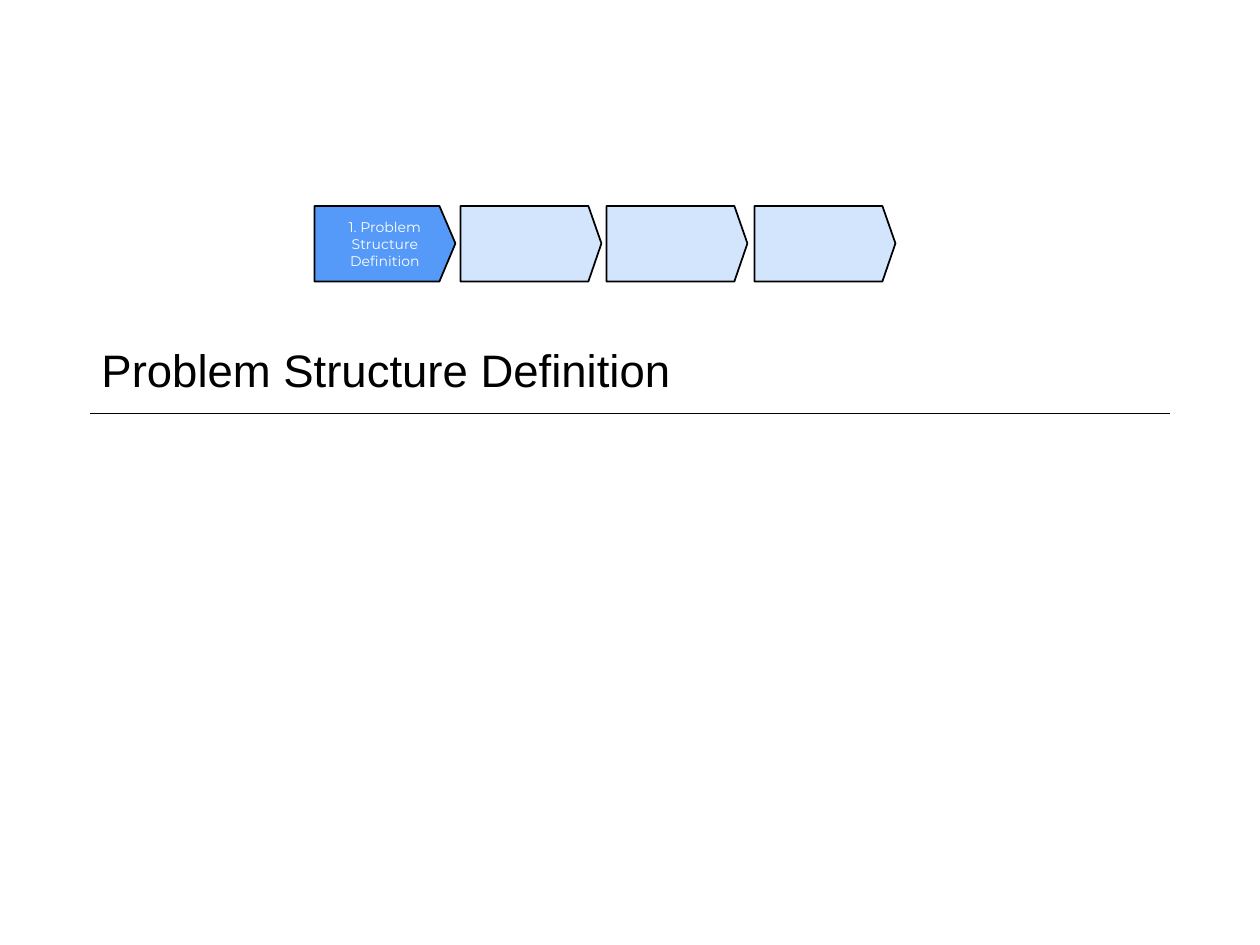
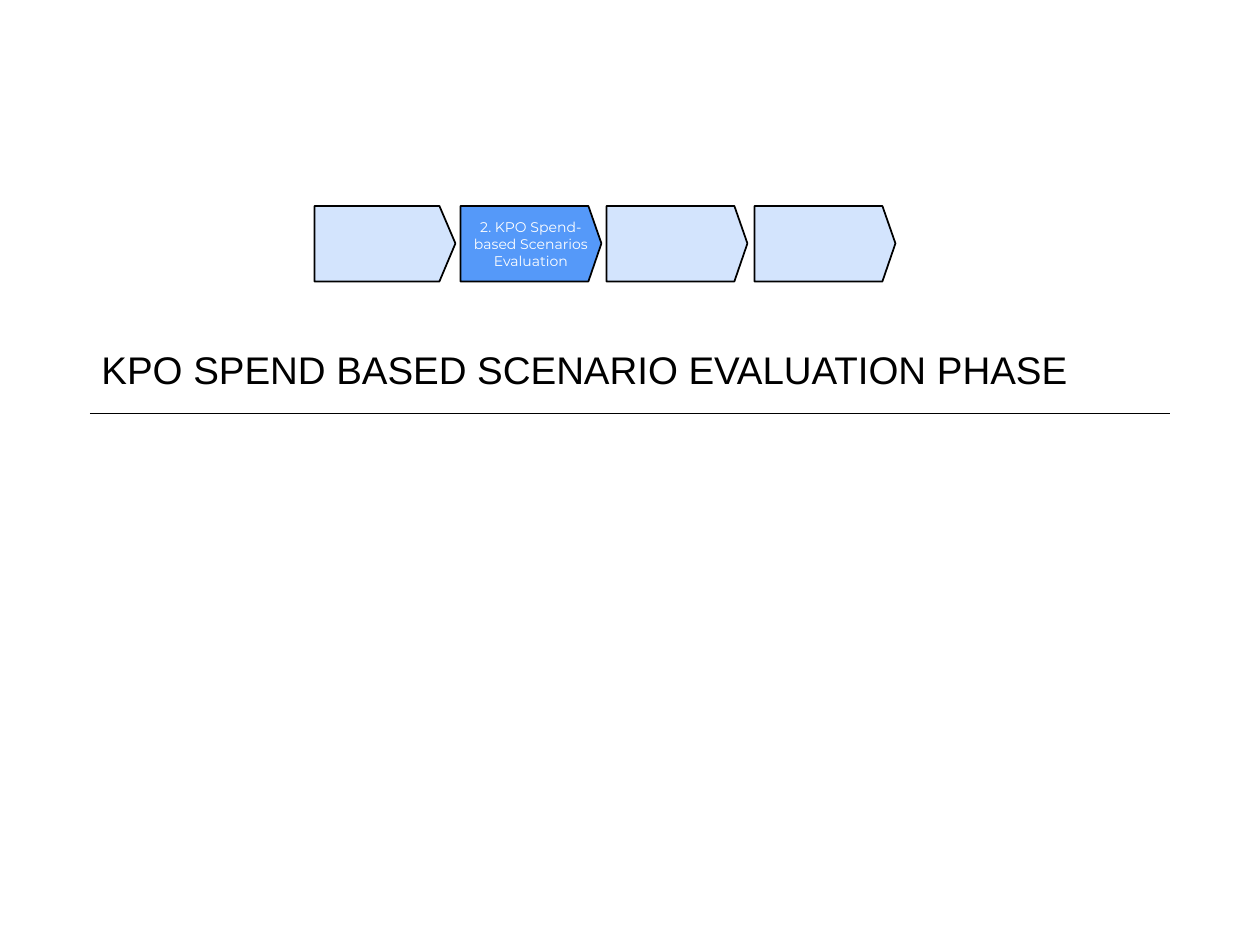
from dataclasses import dataclass

from lxml import etree
from pptx import Presentation
from pptx.dml.color import RGBColor
from pptx.enum.shapes import MSO_CONNECTOR
from pptx.enum.text import MSO_ANCHOR, PP_ALIGN
from pptx.oxml.ns import qn
from pptx.util import Pt

SCALE = 914400 / 252  # EMU in one px
LEFT, CENTER = PP_ALIGN.LEFT, PP_ALIGN.CENTER
MIDDLE = MSO_ANCHOR.MIDDLE
STRAIGHT = MSO_CONNECTOR.STRAIGHT

# Each step: left edge, length of the arrow head
STEPS = [(629, 32), (921, 26), (1213, 26), (1509, 26)]
TOP, WIDTH, HEIGHT = 412, 282, 151


@dataclass(frozen=True)
class Theme:
    ink: str = "000000"
    light: str = "FFFFFF"
    active: str = "5599F9"
    pale: str = "D3E4FD"
    head: str = "Arial"
    body: str = "Montserrat"
    large: int = 26
    medium: int = 22
    small: int = 8
    stroke: int = 1


def px(n):
    return round(n * SCALE)


def rgb(code):
    return RGBColor.from_string(code)


def write(shape, text, *, font, size, color, align=LEFT, inset=(25, 13)):
    frame = shape.text_frame
    frame.word_wrap = True
    frame.vertical_anchor = MIDDLE
    frame.margin_left = frame.margin_right = px(inset[0])
    frame.margin_top = frame.margin_bottom = px(inset[1])
    para = frame.paragraphs[0]
    para.alignment = align
    run = para.add_run()
    run.text = text
    run.font.name = font
    run.font.size = Pt(size)
    run.font.color.rgb = rgb(color)


class Deck:
    def __init__(self, theme):
        self.theme = theme
        self.file = Presentation()
        self.file.slide_width, self.file.slide_height = px(2520), px(1890)
        self.slide = None

    def page(self):
        self.slide = self.file.slides.add_slide(self.file.slide_layouts[6])

    def outline(self, line):
        line.color.rgb = rgb(self.theme.ink)
        line.width = Pt(self.theme.stroke)

    def rule(self, x1, x2, y):
        line = self.slide.shapes.add_connector(
            STRAIGHT, px(x1), px(y), px(x2), px(y))
        self.outline(line.line)
        etree.SubElement(line._element.spPr, qn("a:effectLst"))

    def title(self, text, size):
        box = self.slide.shapes.add_textbox(px(180), px(650), px(2160), px(176))
        write(box, text, font=self.theme.head, size=size,
              color=self.theme.ink, inset=(23, 11))

    def step(self, left, tip, fill):
        neck = WIDTH - tip
        pen = self.slide.shapes.build_freeform(0, 0, scale=SCALE)
        pen.add_line_segments([(neck, 0), (WIDTH, HEIGHT // 2),
                               (neck, HEIGHT), (0, HEIGHT)])
        arrow = pen.convert_to_shape(px(left), px(TOP))
        arrow.shadow.inherit = False
        arrow.fill.solid()
        arrow.fill.fore_color.rgb = rgb(fill)
        self.outline(arrow.line)
        return arrow

    def phase(self, text, size, current, label):
        theme = self.theme
        self.page()
        self.rule(180, 2340, 827)
        self.title(text, size)
        # Only the current step is bright and labelled
        for i, (left, tip) in enumerate(STEPS):
            fill = theme.active if i == current else theme.pale
            arrow = self.step(left, tip, fill)
            if i == current:
                write(arrow, label, font=theme.body, size=theme.small,
                      color=theme.light, align=CENTER)


def main():
    theme = Theme()
    deck = Deck(theme)
    # Slide 1: first phase
    deck.phase("Problem Structure Definition", theme.large, 0,
               "1. Problem Structure Definition")
    # Slide 2: second phase
    deck.phase("KPO SPEND BASED SCENARIO EVALUATION PHASE", theme.medium, 1,
               "2. KPO Spend-based Scenarios Evaluation")
    deck.file.save("out.pptx")


if __name__ == "__main__":
    main()
